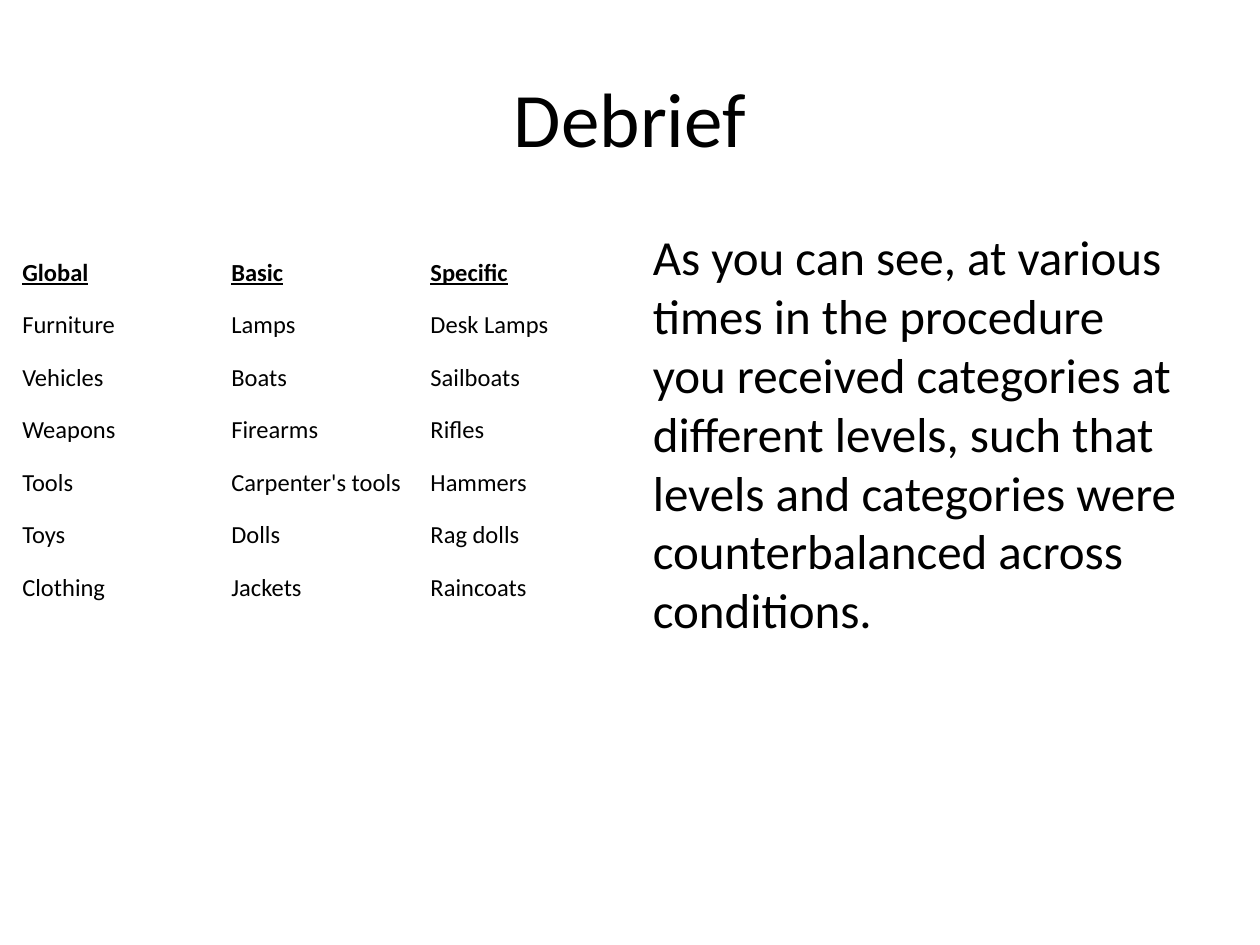
"""Build the Debrief slide: a table of category levels beside an explanation."""
import lxml.etree
import pptx
import pptx.dml.color
import pptx.enum.text
import pptx.oxml.ns
import pptx.util

Pt = pptx.util.Pt
ANCHOR = pptx.enum.text.MSO_ANCHOR
ROWS = [
    ("Global", "Basic", "Specific"),
    ("Furniture", "Lamps", "Desk Lamps"),
    ("Vehicles", "Boats", "Sailboats"),
    ("Weapons", "Firearms", "Rifles"),
    ("Tools", "Carpenter's tools", "Hammers"),
    ("Toys", "Dolls", "Rag dolls"),
    ("Clothing", "Jackets", "Raincoats"),
]
WIDTHS = [119.5, 113.8, 84.6]
ROW_HEIGHT = 30


def style(p, size, color="000000"):
    for r in p.runs:
        r.font.name = "Calibri"
        r.font.size = Pt(size)
        r.font.color.rgb = pptx.dml.color.RGBColor.from_string(color)


def add_borders(cell, color, width):
    tc_pr = cell._tc.get_or_add_tcPr()
    qn = pptx.oxml.ns.qn
    for side in ("lnL", "lnR", "lnT", "lnB"):
        ln = lxml.etree.SubElement(tc_pr, qn(f"a:{side}"), w=str(Pt(width)))
        fill = lxml.etree.SubElement(ln, qn("a:solidFill"))
        lxml.etree.SubElement(fill, qn("a:srgbClr"), val=color)


prs = pptx.Presentation()
prs.slide_width, prs.slide_height = Pt(720), Pt(540)
s = prs.slides.add_slide(prs.slide_layouts[5])

title = s.shapes.title
title.left, title.top, title.width, title.height = Pt(36), Pt(21.6), Pt(648), Pt(90)
tf = title.text_frame
tf.text = "Debrief"
tf.vertical_anchor = ANCHOR.MIDDLE
tf.paragraphs[0].alignment = pptx.enum.text.PP_ALIGN.CENTER
style(tf.paragraphs[0], 44)

table = s.shapes.add_table(len(ROWS), len(WIDTHS), Pt(12), Pt(138),
                           Pt(sum(WIDTHS)), Pt(ROW_HEIGHT * len(ROWS))).table
table.horz_banding = False
for column, width in zip(table.columns, WIDTHS):
    column.width = Pt(width)
for i, row in enumerate(ROWS):
    table.rows[i].height = Pt(ROW_HEIGHT)
    for j, text in enumerate(row):
        cell = table.cell(i, j)
        cell.text = text
        cell.vertical_anchor = ANCHOR.BOTTOM
        cell.margin_left = cell.margin_right = Pt(0.75)
        cell.margin_top = cell.margin_bottom = Pt(3.6)
        add_borders(cell, "FFFFFF", 0.45)
        cell.fill.background()
        p = cell.text_frame.paragraphs[0]
        style(p, 14)
        p.runs[0].font.bold = p.runs[0].font.underline = i == 0

tf = s.shapes.add_textbox(Pt(366), Pt(126), Pt(318), Pt(356.4)).text_frame
tf.word_wrap = True
tf.text = ("As you can see, at various times in the procedure you received "
           "categories at different levels, such that levels and categories "
           "were counterbalanced across conditions.")
style(tf.paragraphs[0], 28)

prs.save("out.pptx")
